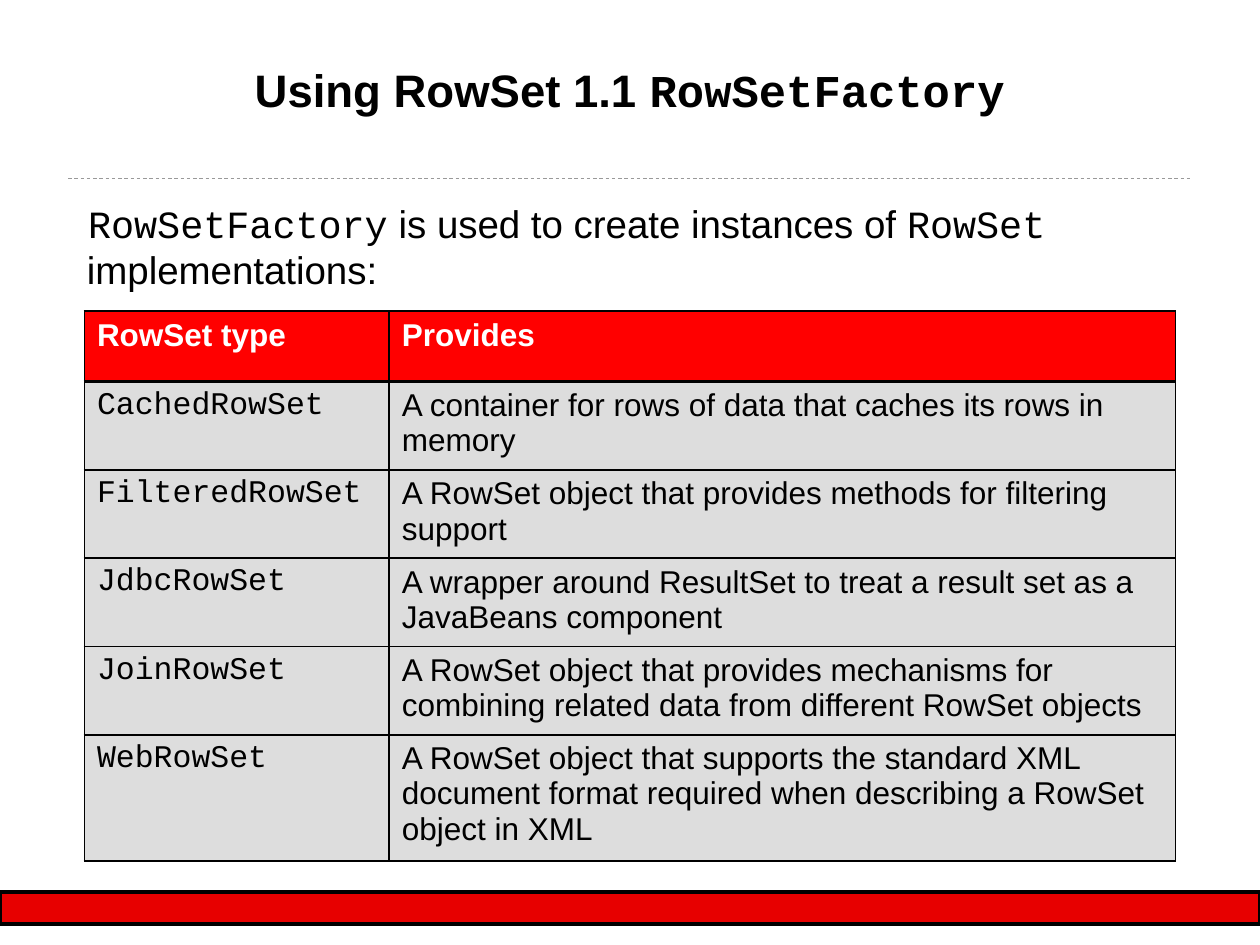
from lxml.etree import SubElement
from pptx import Presentation
from pptx.dml.color import RGBColor
from pptx.enum.dml import MSO_LINE
from pptx.enum.shapes import MSO_CONNECTOR, MSO_SHAPE
from pptx.enum.text import MSO_ANCHOR, PP_ALIGN
from pptx.oxml.ns import qn
from pptx.util import Pt

BLACK = RGBColor(0x00, 0x00, 0x00)
WHITE = RGBColor(0xFF, 0xFF, 0xFF)
RULE_GRAY = RGBColor(0x99, 0x99, 0x99)
CELL_GRAY = RGBColor(0xDD, 0xDD, 0xDD)
HEADER_RED = RGBColor(0xFF, 0x00, 0x00)
FOOTER_RED = RGBColor(0xE7, 0x00, 0x00)

SANS = "Arial"
MONO = "Courier New"
LEFT = 48.24
THIN, THICK = 1.08, 2.21
COL_WIDTHS = [174.24, 449.28]
ROW_HEIGHTS = [40.32, 50.4, 50.4, 50.4, 50.4, 72]

HEADINGS = ("RowSet type", "Provides")
ROWSETS = [
    ("CachedRowSet",
     "A container for rows of data that caches its rows in memory"),
    ("FilteredRowSet",
     "A RowSet object that provides methods for filtering support"),
    ("JdbcRowSet",
     "A wrapper around ResultSet to treat a result set as a JavaBeans component"),
    ("JoinRowSet",
     "A RowSet object that provides mechanisms for combining related data "
     "from different RowSet objects"),
    ("WebRowSet",
     "A RowSet object that supports the standard XML document format required "
     "when describing a RowSet object in XML"),
]


def add_run(p, text, font=SANS, size=18, color=BLACK, bold=False):
    r = p.add_run()
    r.text = text
    r.font.name = font
    r.font.size = Pt(size)
    r.font.color.rgb = color
    r.font.bold = bold


def add_text(slide, top, height, runs, size, before, bold=False, align=PP_ALIGN.LEFT):
    tf = slide.shapes.add_textbox(Pt(LEFT), Pt(top), Pt(623.52), Pt(height)).text_frame
    tf.word_wrap = True
    tf.vertical_anchor = MSO_ANCHOR.TOP
    tf.margin_left = tf.margin_top = tf.margin_right = tf.margin_bottom = Pt(0.72)
    p = tf.paragraphs[0]
    p.alignment = align
    p.space_before = Pt(before)
    for text, font in runs:
        add_run(p, text, font=font, size=size, bold=bold)
    return p


def add_rule(slide, y):
    line = slide.shapes.add_connector(
        MSO_CONNECTOR.STRAIGHT, Pt(38.88), Pt(y), Pt(681.12), Pt(y))
    line.line.color.rgb = RULE_GRAY
    line.line.width = Pt(0.5)
    line.line.dash_style = MSO_LINE.DASH
    SubElement(line._element.spPr, qn("a:effectLst"))


def add_footer(slide):
    sp = slide.shapes.add_shape(
        MSO_SHAPE.FLOWCHART_PROCESS, Pt(0), Pt(509.76), Pt(720), Pt(18))
    sp.shadow.inherit = False
    sp.fill.solid()
    sp.fill.fore_color.rgb = FOOTER_RED
    sp.line.color.rgb = BLACK
    sp.line.width = Pt(2.25)


def set_borders(cell, **widths):
    tc_pr = cell._tc.get_or_add_tcPr()
    for i, side in enumerate("LRTB"):
        ln = tc_pr.makeelement(qn(f"a:ln{side}"), {"w": str(Pt(widths.get(side, THIN)))})
        fill = SubElement(ln, qn("a:solidFill"))
        SubElement(fill, qn("a:srgbClr"), val=str(BLACK))
        tc_pr.insert(i, ln)


def fill_cell(cell, text, fill, **fmt):
    cell.margin_left = cell.margin_right = Pt(7.2)
    cell.margin_top = cell.margin_bottom = Pt(3.6)
    cell.fill.solid()
    cell.fill.fore_color.rgb = fill
    add_run(cell.text_frame.paragraphs[0], text, **fmt)


def add_rowset_table(slide):
    table = slide.shapes.add_table(
        len(ROW_HEIGHTS), len(COL_WIDTHS), Pt(LEFT), Pt(177.84),
        Pt(sum(COL_WIDTHS)), Pt(sum(ROW_HEIGHTS))).table
    table.horz_banding = False
    for col, width in zip(table.columns, COL_WIDTHS):
        col.width = Pt(width)
    for row, height in zip(table.rows, ROW_HEIGHTS):
        row.height = Pt(height)
    for c, heading in enumerate(HEADINGS):
        cell = table.cell(0, c)
        fill_cell(cell, heading, HEADER_RED, color=WHITE, bold=True)
        set_borders(cell, B=THICK)
    for r, texts in enumerate(ROWSETS, 1):
        for c, (text, font) in enumerate(zip(texts, (MONO, SANS))):
            cell = table.cell(r, c)
            fill_cell(cell, text, CELL_GRAY, font=font)
            set_borders(cell, T=THICK if r == 1 else THIN)


def main():
    prs = Presentation()
    prs.slide_width, prs.slide_height = Pt(720), Pt(540)
    slide = prs.slides.add_slide(prs.slide_layouts[6])
    add_rule(slide, 102.24)
    add_footer(slide)
    add_text(slide, 34.56, 69.12,
             [("Using RowSet 1.1 ", SANS), ("RowSetFactory", MONO)],
             size=26, before=6.5, bold=True, align=PP_ALIGN.CENTER)
    intro = add_text(slide, 113.76, 137.52,
                     [("RowSetFactory", MONO),
                      (" is used to create instances of ", SANS),
                      ("RowSet", MONO), (" implementations:", SANS)],
                     size=22, before=5.5)
    p_pr = intro._p.get_or_add_pPr()
    p_pr.set("marL", str(Pt(0.72)))
    p_pr.set("indent", str(Pt(0.72)))
    add_rowset_table(slide)
    prs.save("out.pptx")


if __name__ == "__main__":
    main()
